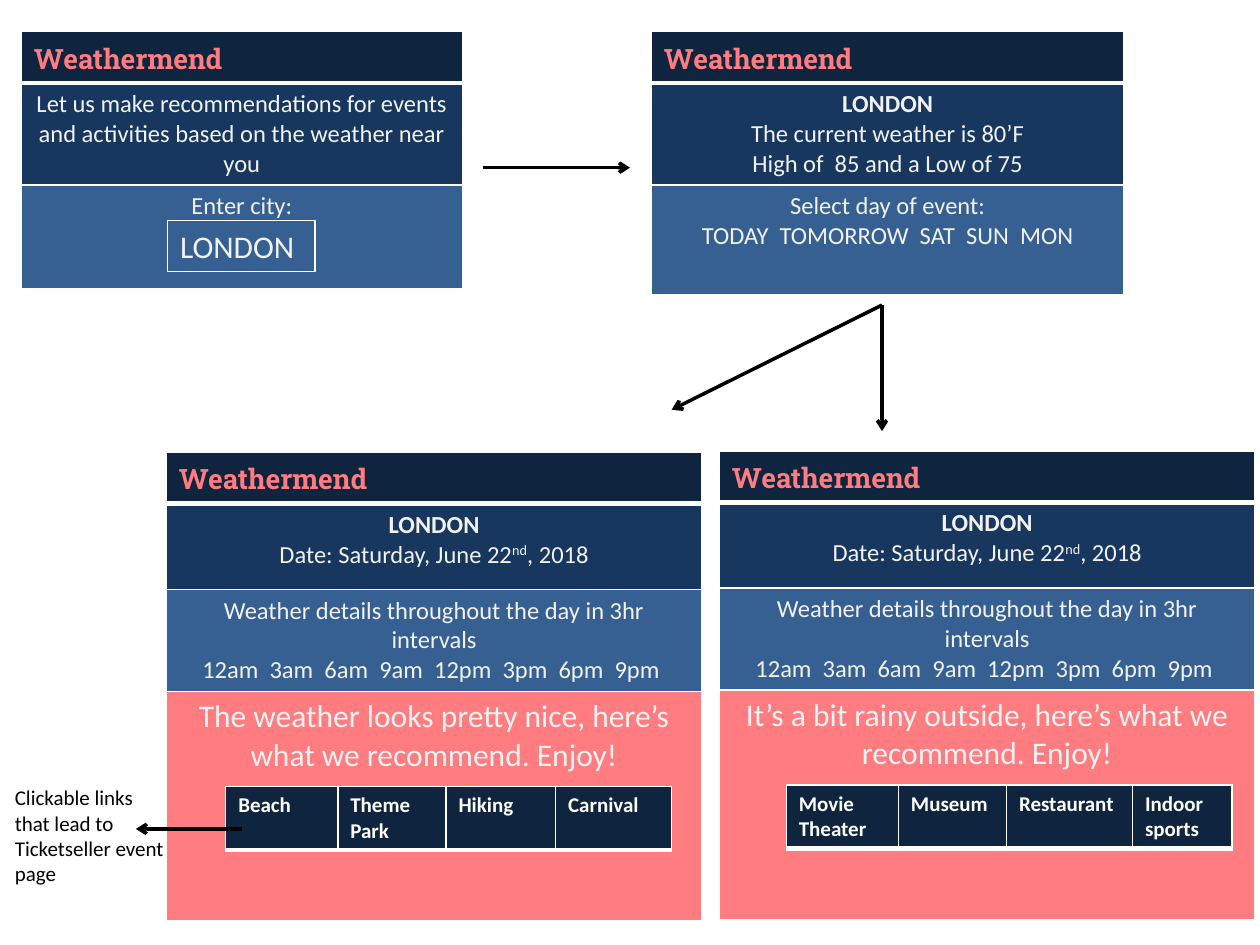
from lxml import etree
from pptx import Presentation
from pptx.dml.color import RGBColor
from pptx.enum.shapes import MSO_CONNECTOR, MSO_SHAPE
from pptx.enum.text import MSO_ANCHOR, PP_ALIGN
from pptx.oxml.ns import qn
from pptx.util import Cm, Pt

STRAIGHT = MSO_CONNECTOR.STRAIGHT
RECTANGLE = MSO_SHAPE.RECTANGLE
TOP = MSO_ANCHOR.TOP
LEFT, CENTER = PP_ALIGN.LEFT, PP_ALIGN.CENTER

COLORS = {
    "header": "0F243E",
    "city": "17375E",
    "detail": "376092",
    "coral": "FF7C80",
    "pale": "F2F2F2",
    "white": "FFFFFF",
    "black": "000000",
}
BODY_FONT = "Calibri"
FORECAST = [
    "Weather details throughout the day in 3hr intervals",
    "12am  3am  6am  9am  12pm  3pm  6pm  9pm ",
]


def color(name):
    return RGBColor.from_string(COLORS[name])


def style_font(font, size, color_name, bold=False, name=BODY_FONT):
    font.name, font.size, font.bold = name, Pt(size), bold
    font.color.rgb = color(color_name)


def write_lines(frame, lines, size, color_name, align=LEFT, bold_first=False):
    """Write one paragraph per line; a line may be a list of (text, raised) spans."""
    for index, line in enumerate(lines):
        para = frame.paragraphs[0] if index == 0 else frame.add_paragraph()
        para.alignment = align
        style_font(para.font, size, color_name, bold_first and index == 0)
        spans = [(line, False)] if isinstance(line, str) else line
        for text, raised in spans:
            span = para.add_run()
            span.text = text
            style_font(span.font, size, color_name, bold_first and index == 0)
            if raised:
                span.font._element.set("baseline", "30000")


def style_cell(cell, fill, bottom=1):
    cell.vertical_anchor = TOP
    cell.fill.solid()
    cell.fill.fore_color.rgb = color(fill)
    properties = cell._tc.get_or_add_tcPr()
    for index, side in enumerate(("lnL", "lnR", "lnT", "lnB")):
        width = bottom if side == "lnB" else 1
        border = etree.Element(qn(f"a:{side}"), w=str(Pt(width)))
        solid = etree.SubElement(border, qn("a:solidFill"))
        etree.SubElement(solid, qn("a:srgbClr"), val=COLORS["white"])
        properties.insert(index, border)


def add_grid(page, left, top, widths, heights):
    grid = page.shapes.add_table(
        len(heights), len(widths), Cm(left), Cm(top), Cm(sum(widths)), Cm(sum(heights))
    ).table
    for column, width in zip(grid.columns, widths):
        column.width = Cm(width)
    for row, height in zip(grid.rows, heights):
        row.height = Cm(height)
    return grid


def add_screen(page, left, top, width, heights, sections):
    """Add an app screen: a brand header above (fill, size, bold_first, lines) rows."""
    grid = add_grid(page, left, top, [width], heights)
    header = grid.cell(0, 0)
    style_cell(header, "header", bottom=3)
    para = header.text_frame.paragraphs[0]
    for text, size, name in (("Weathermend", 16, "Roboto Slab"), (" ", 18, "Lato")):
        span = para.add_run()
        span.text = text
        style_font(span.font, size, "coral", True, name)
    for row, (fill, size, bold_first, lines) in enumerate(sections, start=1):
        cell = grid.cell(row, 0)
        style_cell(cell, fill)
        write_lines(cell.text_frame, lines, size, "pale", CENTER, bold_first)


def add_result_screen(page, left, top, advice):
    date = [("Date: Saturday, June 22", False), ("nd", True), (", 2018", False)]
    add_screen(page, left, top, 10.8, [1.02, 1.73, 2.03, 4.62], [
        ("city", 14, True, ["LONDON", date]),
        ("detail", 14, False, FORECAST),
        ("coral", 18, False, [advice]),
    ])


def add_links(page, left, top, widths, labels):
    grid = add_grid(page, left, top, widths, [1.27])
    for column, label in enumerate(labels):
        cell = grid.cell(0, column)
        style_cell(cell, "header", bottom=3)
        write_lines(cell.text_frame, [label], 12, "white", bold_first=True)


def add_arrow(page, start, end):
    arrow = page.shapes.add_connector(STRAIGHT, *map(Cm, start + end))
    arrow.line.color.rgb = color("black")
    arrow.line.width = Pt(2)
    etree.SubElement(arrow.line._get_or_add_ln(), qn("a:tailEnd"), type="arrow")
    etree.SubElement(arrow._element.spPr, qn("a:effectLst"))


def add_city_field(page):
    field = page.shapes.add_shape(RECTANGLE, Cm(3.38), Cm(4.45), Cm(2.97), Cm(1.02))
    field.shadow.inherit = False
    field.fill.background()
    field.line.color.rgb = color("white")
    field.line.width = Pt(0.75)
    field.text_frame.vertical_anchor = TOP
    write_lines(field.text_frame, ["LONDON"], 18, "pale")


def add_note(page):
    box = page.shapes.add_textbox(Cm(0.05), Cm(15.7), Cm(3.61), Cm(2.31))
    box.text_frame.word_wrap = True
    note = "Clickable links that lead to Ticketseller event page"
    write_lines(box.text_frame, [note], 12, "black")


def main():
    deck = Presentation()
    deck.slide_width, deck.slide_height = Cm(25.4), Cm(19.05)
    page = deck.slides.add_slide(deck.slide_layouts[6])

    # Start screen
    add_screen(page, 0.43, 0.64, 8.89, [0.99, 2.06, 2.08], [
        ("city", 14, False, ["Let us make recommendations for events and activities "
                             "based on the weather near you"]),
        ("detail", 14, False, ["Enter city:"]),
    ])
    add_city_field(page)

    # Day selection screen
    add_screen(page, 13.13, 0.64, 9.53, [1.02, 2.03, 2.21], [
        ("city", 14, True, ["LONDON", "The current weather is 80’F",
                            "High of  85 and a Low of 75"]),
        ("detail", 14, False, ["Select day of event:",
                               "TODAY  TOMORROW  SAT  SUN  MON"]),
    ])

    # Result screens for nice and rainy weather
    add_result_screen(page, 3.35, 9.12,
                      "The weather looks pretty nice, here’s what we recommend. Enjoy!")
    add_result_screen(page, 14.5, 9.09,
                      "It’s a bit rainy outside, here’s what we recommend. Enjoy!")
    add_links(page, 4.55, 15.85, [2.26, 2.18, 2.21, 2.34],
              ["Beach", "Theme Park", "Hiking", "Carnival"])
    add_links(page, 15.85, 15.82, [2.26, 2.18, 2.54, 2.01],
              ["Movie Theater", "Museum", "Restaurant", "Indoor sports"])

    # Flow arrows and side note
    fork = (17.78, 6.15)
    add_arrow(page, (9.73, 3.38), (12.7, 3.38))
    add_arrow(page, fork, (17.78, 8.69))
    add_arrow(page, fork, (13.54, 8.26))
    add_arrow(page, (4.88, 16.71), (2.74, 16.71))
    add_note(page)

    deck.save("out.pptx")


if __name__ == "__main__":
    main()
